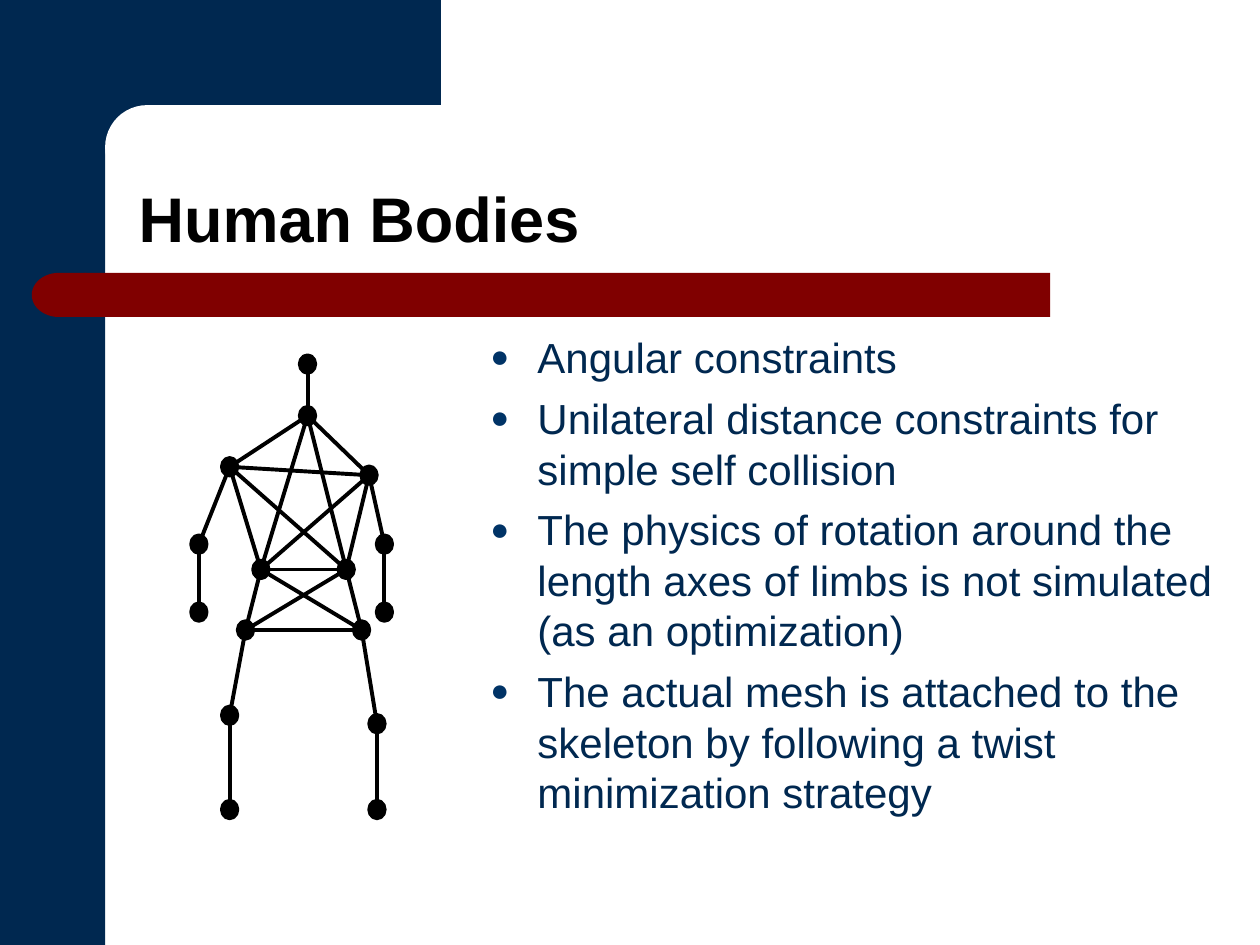
from lxml.etree import SubElement as Sub
from pptx import Presentation as Deck
from pptx.dml.color import RGBColor as Color
from pptx.enum.shapes import MSO_CONNECTOR as Link, MSO_SHAPE as Form
from pptx.enum.text import MSO_ANCHOR as Anchor, MSO_AUTO_SIZE as Fit, PP_ALIGN as Align
from pptx.oxml.ns import qn
from pptx.util import Cm, Pt

NAVY, RED, BLACK, WHITE, BLUE = "002850", "800000", "000000", "FFFFFF", "003366"

POINTS = [
    "Angular constraints",
    "Unilateral distance constraints for simple self collision",
    "The physics of rotation around the length axes of limbs is not simulated (as an optimization)",
    "The actual mesh is attached to the skeleton by following a twist minimization strategy",
]

# Joint centres in cm; l and r are the sides as seen
JOINTS = {
    "head": (6.2, 7.34), "neck": (6.2, 8.38),
    "arm l": (4.63, 9.41), "arm r": (7.44, 9.58),
    "waist l": (5.26, 11.48), "waist r": (6.98, 11.48),
    "hip l": (4.95, 12.7), "hip r": (7.29, 12.7),
    "knee l": (4.63, 14.42), "knee r": (7.6, 14.59),
    "foot l": (4.63, 16.32), "foot r": (7.6, 16.32),
    "elbow l": (4.01, 10.97), "elbow r": (7.75, 10.97),
    "hand l": (4.01, 12.34), "hand r": (7.75, 12.34),
}

# Bones within one side, then bones that cross the body
LIMBS = [("arm", "waist"), ("waist", "hip"), ("arm", "elbow"),
         ("elbow", "hand"), ("hip", "knee"), ("knee", "foot")]
CROSS = [("arm", "arm"), ("waist", "waist"), ("hip", "hip"),
         ("arm", "waist"), ("waist", "arm"), ("waist", "hip"), ("hip", "waist")]


def paint(fmt, shade):
    fmt.solid()
    fmt.fore_color.rgb = Color.from_string(shade)


def add_form(shapes, form, box, shade):
    shape = shapes.add_shape(form, *map(Cm, box))
    shape.shadow.inherit = False
    paint(shape.fill, shade)
    shape.line.fill.background()
    return shape


def add_bone(shapes, start, end):
    bone = shapes.add_connector(Link.STRAIGHT, *map(Cm, JOINTS[start] + JOINTS[end]))
    paint(bone.line.fill, BLACK)
    bone.line.width = Pt(2.25)
    Sub(bone._element.spPr, qn("a:effectLst"))


def add_joint(shapes, x, y):
    wide, high = 0.31, 0.35
    dot = add_form(shapes, Form.OVAL, (x - wide / 2, y - high / 2, wide, high), BLACK)
    paint(dot.line.fill, BLACK)
    dot.line.width = Pt(2.25)


def add_bullet(para):
    props = para._p.get_or_add_pPr()
    props.set("marL", str(Cm(0.95)))
    props.set("indent", str(-Cm(0.95)))
    Sub(Sub(props, qn("a:buClr")), qn("a:srgbClr"), val=BLUE)
    Sub(props, qn("a:buSzPct"), val="75000")
    Sub(props, qn("a:buFont"), typeface="Arial")
    Sub(props, qn("a:buChar"), char="●")


def place(holder, box, anchor):
    holder.left, holder.top, holder.width, holder.height = map(Cm, box)
    frame = holder.text_frame
    frame.word_wrap = True
    frame.auto_size = Fit.NONE
    frame.vertical_anchor = anchor
    return frame


def style(para, size, shade, bold=False):
    para.alignment = Align.LEFT
    for run in para.runs:
        font = run.font
        font.name, font.size, font.bold = "Arial", Pt(size), bold
        font.color.rgb = Color.from_string(shade)


def add_decor(shapes):
    add_form(shapes, Form.RECTANGLE, (0, 0, 2.12, 19.05), NAVY)
    add_form(shapes, Form.RECTANGLE, (1.9, 0, 6.99, 2.96), NAVY)
    panel = add_form(shapes, Form.ROUNDED_RECTANGLE, (2.12, 2.12, 14.18, 1.69), WHITE)
    panel.adjustments[0] = 0.5
    add_form(shapes, Form.RECTANGLE, (1.7, 5.5, 19.47, 0.89), RED)
    cap = add_form(shapes, Form.FLOWCHART_DELAY, (0.64, 5.5, 1.09, 0.89), RED)
    cap.rotation = 180


def add_body(shapes):
    for x, y in JOINTS.values():
        add_joint(shapes, x, y)
    add_bone(shapes, "head", "neck")
    for part in ("arm", "waist"):
        for side in "lr":
            add_bone(shapes, "neck", f"{part} {side}")
    for start, end in LIMBS:
        for side in "lr":
            add_bone(shapes, f"{start} {side}", f"{end} {side}")
    for start, end in CROSS:
        add_bone(shapes, f"{start} l", f"{end} r")


def fill_title(holder):
    frame = place(holder, (2.54, 2.12, 22.22, 3.18), Anchor.BOTTOM)
    frame.text = "Human Bodies"
    para = frame.paragraphs[0]
    para.line_spacing = 0.9
    style(para, 36, BLACK, True)


def fill_list(holder):
    frame = place(holder, (9.63, 6.56, 15.11, 10.37), Anchor.TOP)
    for i, text in enumerate(POINTS):
        para = frame.add_paragraph() if i else frame.paragraphs[0]
        para.text = text
        add_bullet(para)
        para.space_before = Pt(6 if i else 0)
        style(para, 24, NAVY)


def main():
    deck = Deck()
    deck.slide_width, deck.slide_height = Cm(25.4), Cm(19.05)
    slide = deck.slides.add_slide(deck.slide_layouts[1])
    shapes = slide.shapes
    title, points = shapes.title, slide.placeholders[1]
    paint(slide.background.fill, WHITE)
    add_decor(shapes)
    # Bring the text in front of the decor
    for holder in (title, points):
        shapes._spTree.append(holder._element)
    fill_title(title)
    fill_list(points)
    add_body(shapes.add_group_shape().shapes)
    deck.save("out.pptx")


if __name__ == "__main__":
    main()
